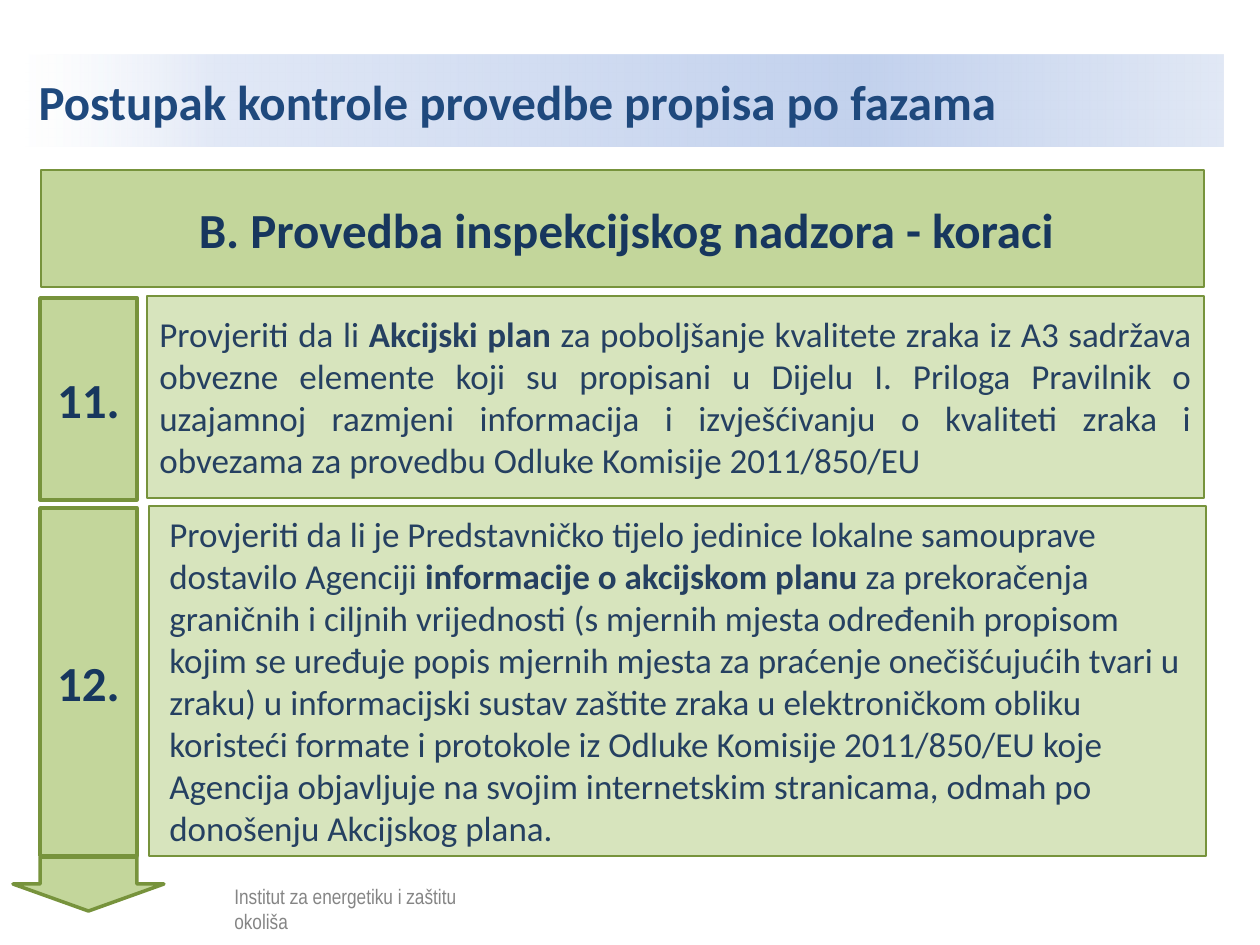
from lxml import etree
from pptx import Presentation, util as u
from pptx.dml.color import RGBColor
from pptx.enum import shapes, text
from pptx.oxml.ns import qn

EMU_PER_PX = 914400 / 126

HEADING = {"size": u.Pt(28), "name": "Calibri", "bold": True}
STEP_TEXT = {"size": u.Pt(20), "name": "Calibri", "bold": False}
FOOTER = {"size": u.Pt(12), "name": "Arial Narrow", "bold": False}
TITLE_BLUE, HEAD_BLUE, TEXT_BLUE = "1F497D", "17375E", "254061"
GREEN, PALE_GREEN, EDGE_GREEN = "C3D69B", "D7E4BD", "77933C"
WHITE, BLACK = "FFFFFF", "000000"
BANNER_STOPS = [(0, WHITE, 52), (16, "E1E8F6", 100), (70, "C2D1ED", 100), (100, "E1E8F5", 100)]

PLAN_CHECK = [
    ("Provjeriti da li ", False),
    ("Akcijski plan", True),
    (" za poboljšanje kvalitete zraka iz A3 sadržava obvezne elemente koji su propisani "
     "u Dijelu I. Priloga Pravilnik o uzajamnoj razmjeni informacija i izvješćivanju o "
     "kvaliteti zraka i obvezama za provedbu Odluke Komisije 2011/850/EU", False),
]
DELIVERY_CHECK = [
    ("Provjeriti da li je Predstavničko tijelo jedinice lokalne samouprave dostavilo "
     "Agenciji ", False),
    ("informacije o akcijskom planu", True),
    (" za prekoračenja graničnih i ciljnih vrijednosti (s mjernih mjesta određenih "
     "propisom kojim se uređuje popis mjernih mjesta za praćenje onečišćujućih tvari u "
     "zraku) u informacijski sustav zaštite zraka u elektroničkom obliku koristeći formate "
     "i protokole iz Odluke Komisije 2011/850/EU koje Agencija objavljuje na svojim "
     "internetskim stranicama, odmah po donošenju Akcijskog plana.", False),
]


def px(length):
    return u.Emu(round(length * EMU_PER_PX))


def rgb(value):
    return RGBColor.from_string(value)


def add_alpha(color_element, percent):
    etree.SubElement(color_element, qn("a:alpha"), val=str(percent * 1000))


class Deck:
    def __init__(self):
        self.prs = Presentation()
        self.prs.slide_width, self.prs.slide_height = px(1260), px(945)
        self.slide = self.prs.slides.add_slide(self.prs.slide_layouts[5])

    def fill_text(self, frame, runs, style, color, align, anchor):
        """Fill a text frame with one paragraph; runs is a string or (words, bold) pairs."""
        options = {"word_wrap": True, "auto_size": text.MSO_AUTO_SIZE.NONE,
                   "vertical_anchor": anchor}
        for key, value in options.items():
            setattr(frame, key, value)
        paragraph = frame.paragraphs[0]
        paragraph.alignment = align
        if isinstance(runs, str):
            runs = [(runs, style["bold"])]
        for words, bold in runs:
            run = paragraph.add_run()
            run.text = words
            for key, value in {**style, "bold": bold}.items():
                setattr(run.font, key, value)
            run.font.color.rgb = rgb(color)
        return paragraph

    def title(self, box, words):
        banner = self.slide.shapes.title
        for key, value in zip(("left", "top", "width", "height"), box):
            setattr(banner, key, px(value))
        banner.fill.gradient()
        banner.fill.gradient_angle = 0
        stops = banner.element.spPr.find(".//" + qn("a:gsLst"))
        for stop in list(stops):
            stops.remove(stop)
        for position, color, opacity in BANNER_STOPS:
            stop = etree.SubElement(stops, qn("a:gs"), pos=str(position * 1000))
            add_alpha(etree.SubElement(stop, qn("a:srgbClr"), val=color), opacity)
        paragraph = self.fill_text(banner.text_frame, words, HEADING, TITLE_BLUE,
                                   text.PP_ALIGN.LEFT, text.MSO_ANCHOR.MIDDLE)
        indent = px(123)
        properties = paragraph._p.get_or_add_pPr()
        properties.set("marL", str(int(indent)))
        properties.set("indent", str(-int(indent)))

    def block(self, box, fill, line_width=None, kind=shapes.MSO_SHAPE.RECTANGLE):
        block = self.slide.shapes.add_shape(kind, *map(px, box))
        block.shadow.inherit = False
        block.fill.solid()
        block.fill.fore_color.rgb = rgb(fill)
        if line_width:
            block.line.color.rgb = rgb(EDGE_GREEN)
            block.line.width = u.Pt(line_width)
        else:
            block.line.fill.background()
        return block

    def veil(self, box, opacity):
        """Translucent white panel that softens what lies beneath it."""
        panel = self.block(box, WHITE)
        add_alpha(panel.element.spPr.find(".//" + qn("a:srgbClr")), opacity)

    def label(self, box, runs, style, color, align=text.PP_ALIGN.LEFT):
        frame = self.slide.shapes.add_textbox(*map(px, box)).text_frame
        self.fill_text(frame, runs, style, color, align, text.MSO_ANCHOR.TOP)

    def step_number(self, box, number):
        tile = self.block(box, GREEN, 2)
        self.fill_text(tile.text_frame, number, HEADING, HEAD_BLUE,
                       text.PP_ALIGN.CENTER, text.MSO_ANCHOR.MIDDLE)

    def arrow(self, box, shaft, head):
        arrow = self.block(box, GREEN, 2, shapes.MSO_SHAPE.DOWN_ARROW)
        arrow.adjustments[0], arrow.adjustments[1] = shaft, head


def main():
    deck = Deck()
    deck.title((26, 55, 1197, 92), "Postupak kontrole provedbe propisa po fazama")

    deck.label((222, 877, 263, 32), "Institut za energetiku i zaštitu okoliša", FOOTER, BLACK)
    deck.veil((52, 873, 481, 60), 52)

    deck.block((41, 170, 1163, 117), GREEN, 1.5)
    deck.label((41, 193, 1170, 72), "B. Provedba inspekcijskog nadzora - koraci",
               HEADING, HEAD_BLUE, text.PP_ALIGN.CENTER)

    plan_step = deck.block((147, 296, 1057, 202), PALE_GREEN, 1.5)
    deck.fill_text(plan_step.text_frame, PLAN_CHECK, STEP_TEXT, TEXT_BLUE,
                   text.PP_ALIGN.JUSTIFY, text.MSO_ANCHOR.MIDDLE)
    deck.step_number((40, 298, 97, 202), "11.")

    deck.block((149, 506, 1057, 350), PALE_GREEN, 1.5)
    deck.step_number((40, 508, 97, 348), "12.")
    deck.label((157, 506, 1036, 394), DELIVERY_CHECK, STEP_TEXT, TEXT_BLUE)

    deck.arrow((13, 857, 151, 54), 0.64, 0.5)
    deck.prs.save("out.pptx")


if __name__ == "__main__":
    main()
